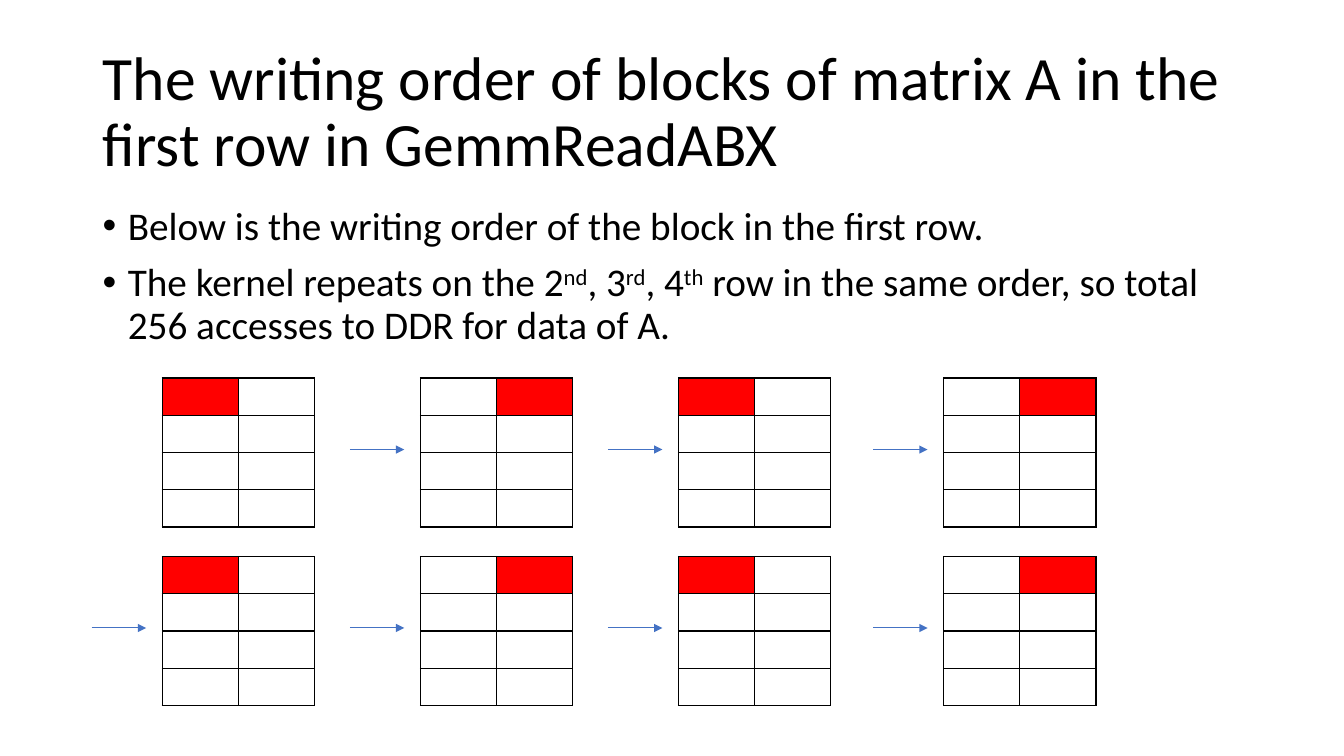
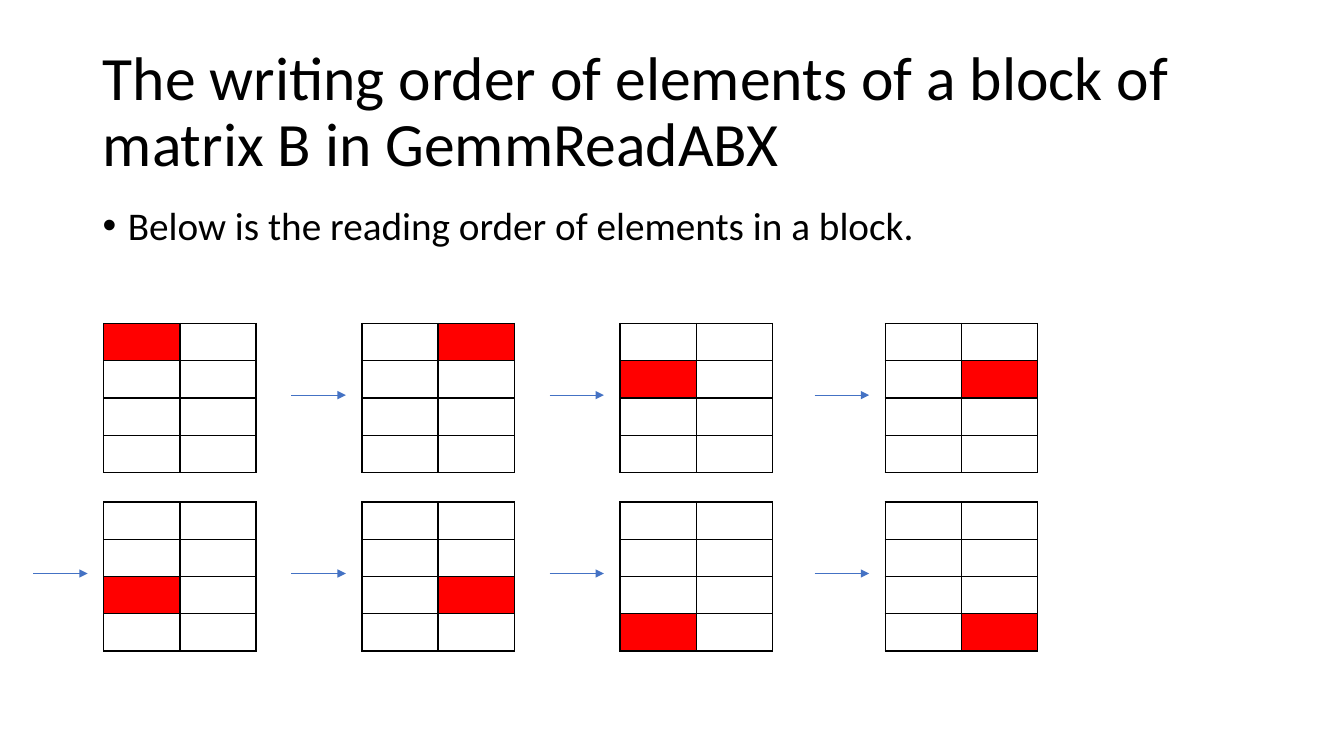
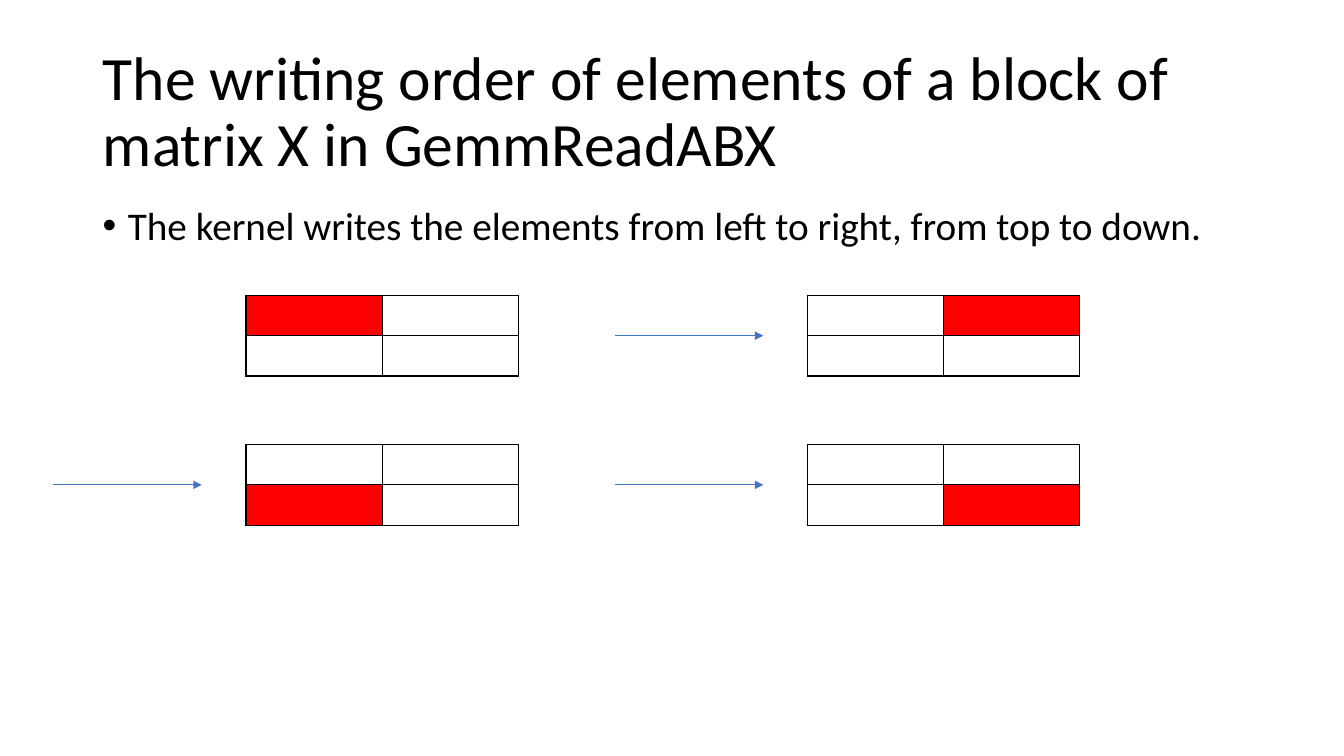
from itertools import product

from lxml.etree import SubElement
from pptx import Presentation
from pptx.dml.color import RGBColor
from pptx.enum.shapes import MSO_CONNECTOR
from pptx.enum.text import MSO_ANCHOR, MSO_AUTO_SIZE, PP_ALIGN
from pptx.oxml import parse_xml
from pptx.oxml.ns import nsdecls, qn
from pptx.util import Inches, Pt

FONT = "Calibri"
BLACK, WHITE, RED, BLUE = "000000", "FFFFFF", "FF0000", "4472C4"
LEFT, WIDTH = 0.92, 11.5
TITLE_BOX = (LEFT, 0.4, WIDTH, 1.45)
BODY_BOX = (LEFT, 2, WIDTH, 4.76)


def rgb(value):
    return RGBColor.from_string(value)


def add_run(p, text, size, raised=False):
    r = p.add_run()
    r.text = text
    r.font.name, r.font.size = FONT, Pt(size)
    r.font.color.rgb = rgb(BLACK)
    if raised:
        r.font._element.set("baseline", "30000")


def add_title(s, text):
    sp = s.shapes.title
    sp.left, sp.top, sp.width, sp.height = map(Inches, TITLE_BOX)
    tf = sp.text_frame
    tf.word_wrap, tf.auto_size = True, MSO_AUTO_SIZE.NONE
    tf.vertical_anchor = MSO_ANCHOR.MIDDLE
    p = tf.paragraphs[0]
    p.alignment, p.line_spacing = PP_ALIGN.LEFT, 0.9
    add_run(p, text, 44)


def add_bullets(s, paragraphs):
    """Each paragraph is a list of runs; a run starting with ^ is raised."""
    tf = s.shapes.add_textbox(*map(Inches, BODY_BOX)).text_frame
    tf.word_wrap = True
    for i, runs in enumerate(paragraphs):
        p = tf.add_paragraph() if i else tf.paragraphs[0]
        p.line_spacing = 0.9
        if i:
            p.space_before = Pt(10)
        pPr = p._p.get_or_add_pPr()
        pPr.set("marL", str(Inches(0.25)))
        pPr.set("indent", str(-Inches(0.25)))
        SubElement(pPr, qn("a:buFont"), typeface="Arial")
        SubElement(pPr, qn("a:buChar"), char="•")
        for text in runs:
            add_run(p, text.removeprefix("^"), 28, text.startswith("^"))


def format_cell(cell, color):
    cell.fill.solid()
    cell.fill.fore_color.rgb = rgb(color)
    cell.margin_left = cell.margin_right = cell.margin_top = cell.margin_bottom = 0
    tcPr = cell._tc.get_or_add_tcPr()
    for i, side in enumerate("LRTB"):
        tcPr.insert(i, parse_xml(
            f'<a:ln{side} {nsdecls("a")} w="12700"><a:solidFill>'
            f'<a:srgbClr val="{BLACK}"/></a:solidFill></a:ln{side}>'))


def add_matrix(s, x, y, rows, cols, cell_size, active):
    """A grid with the one active (row, column) cell in red."""
    w, h = cell_size
    frame = s.shapes.add_table(rows, cols, Inches(x), Inches(y),
                               Inches(cols * w), Inches(rows * h))
    table = frame.table
    table.first_row = table.horz_banding = False
    for col in table.columns:
        col.width = Inches(w)
    for row in table.rows:
        row.height = Inches(h)
    for pos in product(range(rows), range(cols)):
        format_cell(table.cell(*pos), RED if pos == active else WHITE)


def add_arrow(s, x, y, length):
    line = s.shapes.add_connector(MSO_CONNECTOR.STRAIGHT, Inches(x), Inches(y),
                                  Inches(x + length), Inches(y))
    line.line.color.rgb = rgb(BLUE)
    line.line.width = Pt(0.75)
    SubElement(line.line._get_or_add_ln(), qn("a:tailEnd"), type="triangle")
    SubElement(line._element.spPr, qn("a:effectLst"))


def add_sequence(s, x, y, offsets, pitch, rows, cell_size, arrow, order):
    """Matrices in reading order, each after the first led by an arrow."""
    lead, length = arrow
    for i, active in enumerate(order):
        line, place = divmod(i, len(offsets))
        left, top = x + offsets[place], y + line * pitch
        add_matrix(s, left, top, rows, 2, cell_size, active)
        if i:
            middle = top + (0.71 if rows == 4 else rows * cell_size[1] / 2)
            add_arrow(s, left - lead, middle, length)


def add_order_slide(prs, title, bullets, x, y, order, style):
    s = prs.slides.add_slide(prs.slide_layouts[5])
    add_title(s, title)
    add_bullets(s, bullets)
    add_sequence(s, x, y, order=order, **style)


TALL = dict(offsets=(0, 2.56, 5.12, 7.75), pitch=1.77, rows=4,
            cell_size=(0.755, 0.37), arrow=(0.7, 0.54))
WIDE = dict(offsets=(0, 5.57), pitch=1.48, rows=2,
            cell_size=(1.35, 0.4), arrow=(1.91, 1.47))


def main():
    prs = Presentation()
    prs.slide_width, prs.slide_height = Inches(13.33), Inches(7.5)
    add_order_slide(
        prs, "The writing order of blocks of matrix A in the first row in GemmReadABX",
        [["Below is the writing order of the block in the first row."],
         ["The kernel repeats on the 2", "^nd", ", 3", "^rd", ", 4", "^th",
          " row in the same order, so total 256 accesses to DDR for data of A."]],
        1.61, 3.75, [(0, 0), (0, 1)] * 4, TALL)
    add_order_slide(
        prs, "The writing order of elements of a block of matrix B in GemmReadABX",
        [["Below is the reading order of elements in a block."]],
        1.03, 3.21, list(product(range(4), range(2))), TALL)
    add_order_slide(
        prs, "The writing order of elements of a block of matrix X in GemmReadABX",
        [["The kernel writes the elements from left to right, from top to down."]],
        2.44, 2.93, list(product(range(2), range(2))), WIDE)
    prs.save("out.pptx")


if __name__ == "__main__":
    main()
